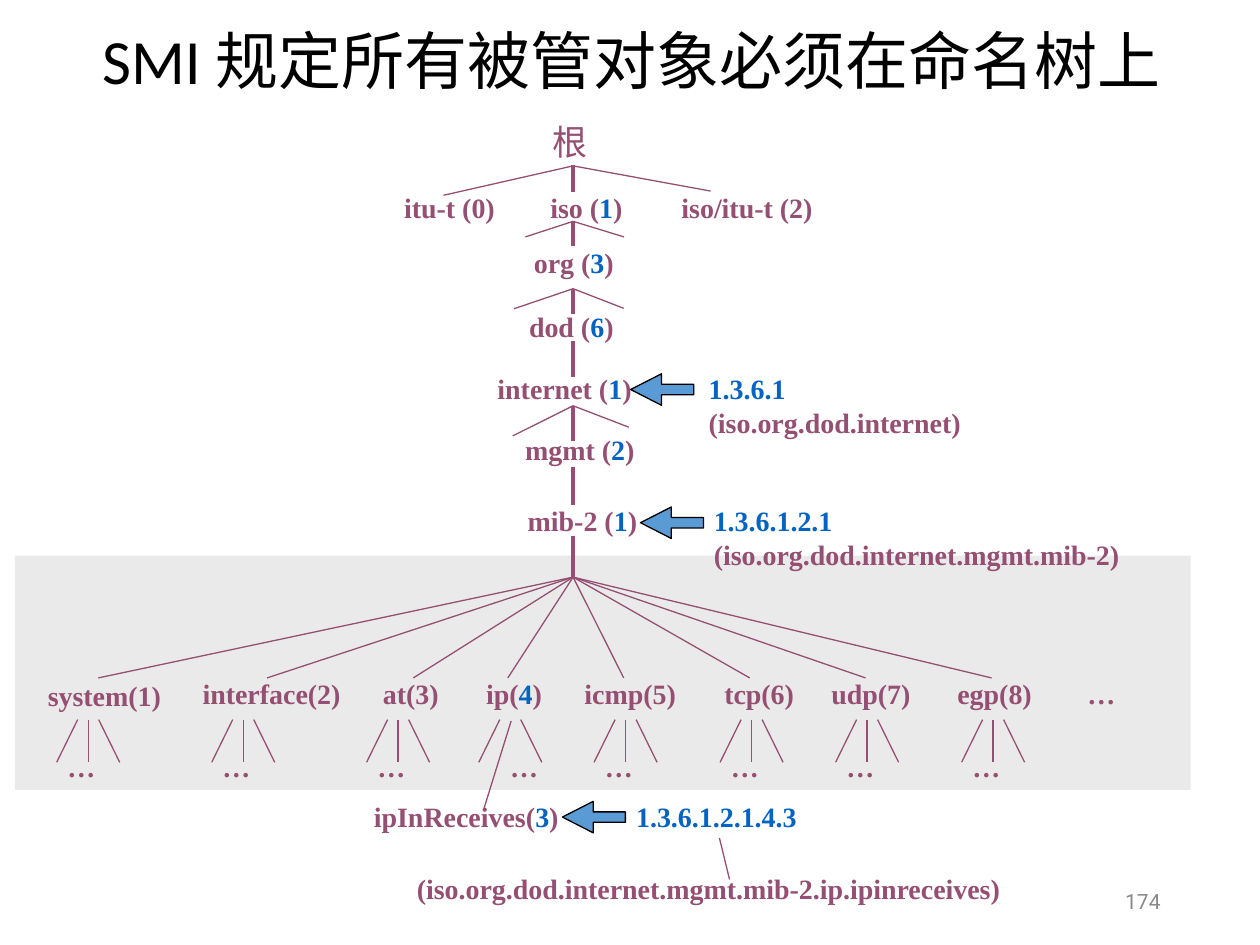
"""Build the slide on the SMI naming tree of managed objects."""
from lxml import etree
from pptx import Presentation
from pptx import util as u
from pptx.dml.color import RGBColor
from pptx.enum import shapes, text
from pptx.oxml.ns import qn

color = RGBColor.from_string
PLUM, BLUE = "954F72", "0563C1"

deck = Presentation()
deck.slide_width, deck.slide_height = u.Pt(720), u.Pt(540)
page = deck.slides.add_slide(deck.slide_layouts[6])


def write(content, left, top, width, height=26.6, size=16, font="Times New Roman",
          ink=PLUM, bold=True, align=text.PP_ALIGN.LEFT, wrap=False,
          anchor=text.MSO_ANCHOR.TOP, spacing=1.0):
    """Add a text box; the parts between bars are blue."""
    box = page.shapes.add_textbox(u.Pt(left), u.Pt(top), u.Pt(width), u.Pt(height))
    frame = box.text_frame
    frame.word_wrap = wrap
    frame.auto_size = text.MSO_AUTO_SIZE.NONE if wrap else text.MSO_AUTO_SIZE.SHAPE_TO_FIT_TEXT
    frame.vertical_anchor = anchor
    para = frame.paragraphs[0]
    para.alignment, para.line_spacing = align, spacing
    for index, part in enumerate(content.split("|")):
        if part:
            span = para.add_run()
            span.text = part
            span.font.size, span.font.name, span.font.bold = u.Pt(size), font, bold
            span.font.color.rgb = color(BLUE if index % 2 else ink)


def draw_line(x1, y1, x2, y2, weight=0.75):
    """Add a straight plum line."""
    line = page.shapes.add_connector(
        shapes.MSO_CONNECTOR.STRAIGHT, u.Pt(x1), u.Pt(y1), u.Pt(x2), u.Pt(y2))
    line.line.color.rgb = color(PLUM)
    line.line.width = u.Pt(weight)
    etree.SubElement(line._element.spPr, qn("a:effectLst"))


band = page.shapes.add_shape(
    shapes.MSO_SHAPE.RECTANGLE, u.Pt(8.6), u.Pt(317.5), u.Pt(671.8), u.Pt(133.9))
band.shadow.inherit = False
band.fill.solid()
band.fill.fore_color.rgb = color("EAEAEA")
band.line.fill.background()

write("SMI 规定所有被管对象必须在命名树上", 37, 9.4, 647.3, 54.7, size=36, font="Calibri",
      ink="000000", bold=False, align=text.PP_ALIGN.CENTER, wrap=True,
      anchor=text.MSO_ANCHOR.MIDDLE, spacing=0.9)
write("根", 308.9, 65.5, 34.6, 28.8, size=20, bold=False)

labels = [
    ("itu-t (0)", 223.9, 105.1, 67),
    ("iso (|1|)", 307.4, 105.1, 56.2),
    ("iso/itu-t (2)", 382.3, 105.1, 90),
    ("org (|3|)", 298, 136.8, 60.5),
    ("dod (|6|)", 295.2, 173.5, 63.4),
    ("internet (|1|)", 277.2, 208.8, 91),
    ("|1.3.6.1| (iso.org.dod.internet)", 397.9, 208.8, 206),
    ("mgmt (|2|)", 293, 243.4, 77),
    ("mib-2 (|1|)", 294.5, 284.4, 76.7),
    ("|1.3.6.1.2.1| (iso.org.dod.internet.mgmt.mib-2)", 400.8, 284.4, 317.8),
    ("ipInReceives(|3|)", 206.6, 453.6, 124.6),
    ("|1.3.6.1.2.1.4.3|", 356.4, 453.6, 106.6),
    ("(iso.org.dod.internet.mgmt.mib-2.ip.ipinreceives)", 231.1, 494.6, 349.9),
    ("…", 614.2, 383, 30.2),
]
for content, left, top, width in labels:
    write(content, left, top, width)

trunk = 327.5
for top, bottom in [(94.5, 110), (126, 140.4), (165, 179.3), (195.1, 215.3),
                    (232, 252), (267.1, 288.7), (306, 330.3)]:
    draw_line(trunk, top, trunk, bottom, weight=2.25)

branches = [
    (94.8, [(253.4, 111.6), (406.1, 109.2)]),
    (126.5, [(300.2, 135.4), (356.6, 135.4)]),
    (165, [(293.8, 176.4), (356.4, 176.2)]),
    (231.9, [(293, 249.1), (359.3, 244.1)]),
]
for top, ends in branches:
    for x, y in ends:
        draw_line(trunk, top, x, y)

groups = [
    ("system(1)", 20.2, 384.5, 79.9, 56.2, 50.4),
    ("interface(2)", 108.7, 383, 93.6, 152.6, 139),
    ("at(3)", 211.7, 383, 46.8, 236.2, 227.5),
    ("ip(|4|)", 270.7, 383, 46.8, 290.2, 291.6),
    ("icmp(5)", 326.9, 383, 67, 356.4, 357.5),
    ("tcp(6)", 406.8, 383, 54.7, 428.4, 429.5),
    ("udp(7)", 468, 383, 59.8, 494.6, 495.5),
    ("egp(8)", 540, 383, 57.6, 566.6, 567.5),
]
for content, left, top, width, branch, stem in groups:
    is_ip = content.startswith("ip")
    write(content, left, top, width)
    draw_line(trunk, 329.8, branch, 387.4)
    for side in (-1, 1) if is_ip else (-1, 0, 1):
        draw_line(stem + 6 * side, 411.2, stem + 18 * side, 435.6)
    write("…", stem - (7.2 if is_ip else 19), 424.8, 30.2)

draw_line(292.1, 412, 276.5, 462.2)
draw_line(411.1, 478.8, 416.9, 502.6)

for left, top in [(360.4, 213.6), (366, 289.7), (321.4, 457.9)]:
    arrow = page.shapes.add_shape(
        shapes.MSO_SHAPE.LEFT_ARROW, u.Pt(left), u.Pt(top), u.Pt(36), u.Pt(18))
    arrow.adjustments[0], arrow.adjustments[1] = 0.33, 0.98
    arrow.shadow.inherit = False
    arrow.fill.solid()
    arrow.fill.fore_color.rgb = color("5B9BD5")
    arrow.line.color.rgb = color("000000")
    arrow.line.width = u.Pt(0.75)

write("174", 508.3, 500.4, 162, 28.8, size=12, font="Roboto", ink="898989", bold=False,
      align=text.PP_ALIGN.RIGHT, wrap=True, anchor=text.MSO_ANCHOR.MIDDLE)

deck.save("out.pptx")
